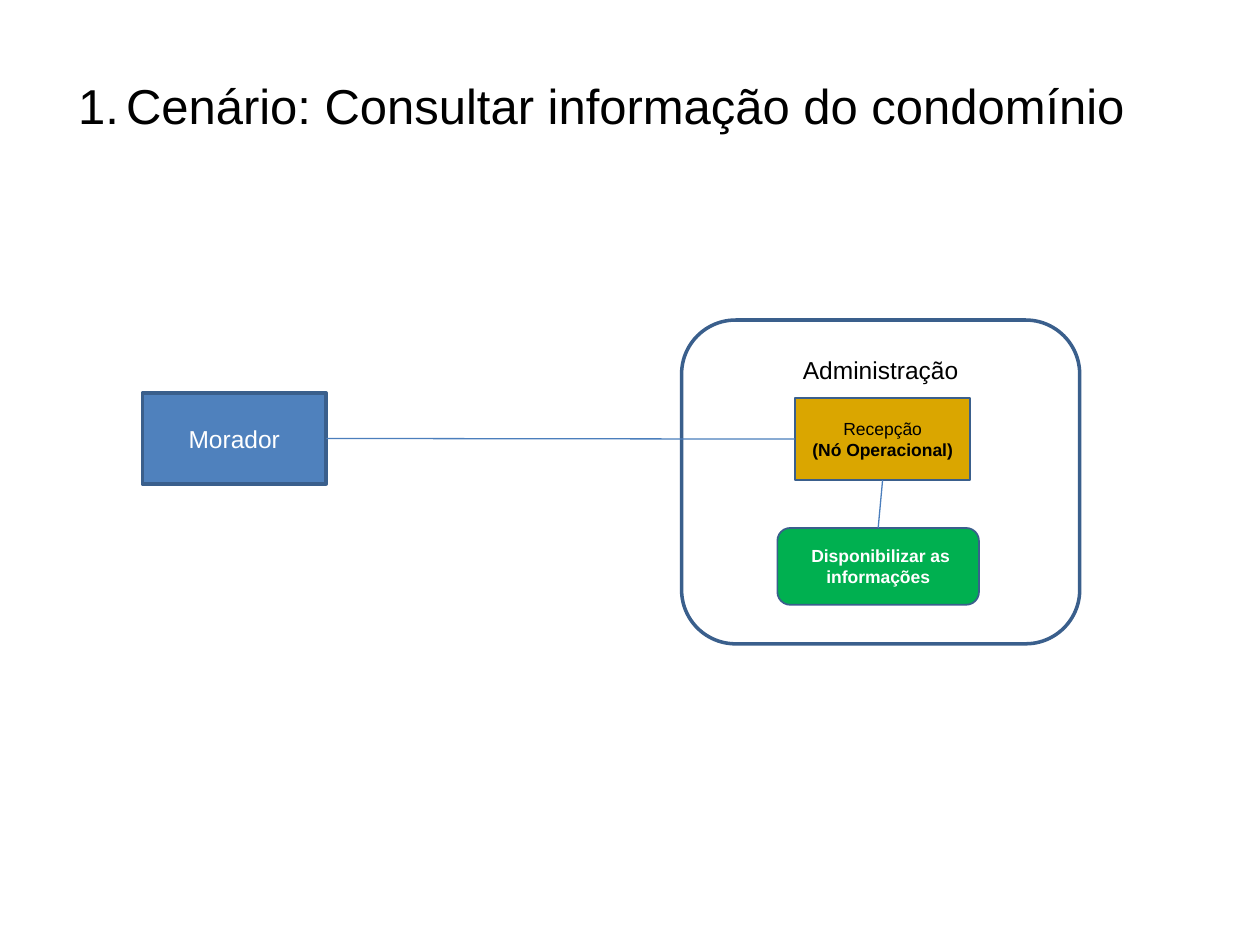
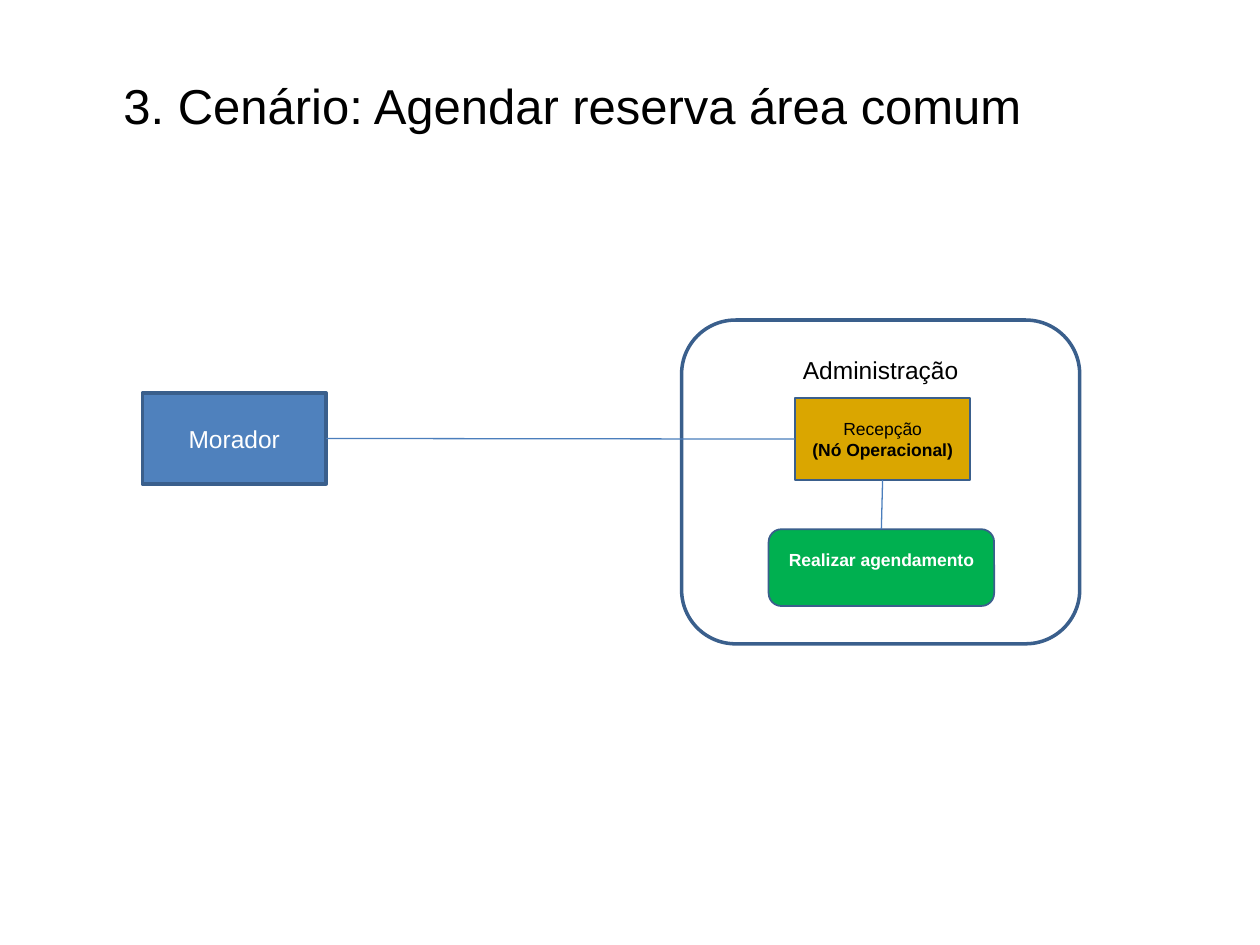
from dataclasses import dataclass

from lxml import etree
from pptx import Presentation
from pptx.dml.color import RGBColor
from pptx.enum.shapes import MSO_CONNECTOR, MSO_SHAPE
from pptx.enum.text import MSO_ANCHOR, MSO_AUTO_SIZE, PP_ALIGN
from pptx.oxml.ns import qn
from pptx.util import Inches, Pt


@dataclass(frozen=True)
class Theme:
    font: str = "Arial"
    dark: str = "000000"
    light: str = "FFFFFF"
    actor: str = "4F81BD"
    node: str = "DAA600"
    action: str = "00B050"
    border: str = "3A5F8C"
    link: str = "4B7EBC"
    title_size: int = 28
    label_size: int = 14
    detail_size: int = 10
    thick: float = 2
    thin: float = 1
    link_width: float = 0.75


THEME = Theme()

# Connection sites of a rectangle
TOP, LEFT, BOTTOM, RIGHT = range(4)


def rgb(value):
    return RGBColor.from_string(value)


def place(shape, box):
    shape.left, shape.top, shape.width, shape.height = map(Inches, box)


def write(paragraph, text, size, color, bold=False, align=PP_ALIGN.CENTER):
    paragraph.alignment = align
    run = paragraph.add_run()
    run.text = text
    font = run.font
    font.name, font.size, font.bold = THEME.font, Pt(size), bold
    font.color.rgb = rgb(color)


def number_paragraph(paragraph, indent):
    """Give the paragraph an automatic number with a hanging indent."""
    props = paragraph._p.get_or_add_pPr()
    props.set("marL", str(Inches(indent)))
    props.set("indent", str(-Inches(indent)))
    etree.SubElement(props, qn("a:buFont"), typeface="+mj-lt")
    etree.SubElement(props, qn("a:buAutoNum"), type="arabicPeriod")


def add_title(slide, text, box, numbered=False):
    title = slide.shapes.title
    place(title, box)
    frame = title.text_frame
    frame.word_wrap = False
    frame.auto_size = MSO_AUTO_SIZE.NONE
    frame.vertical_anchor = MSO_ANCHOR.TOP
    paragraph = frame.paragraphs[0]
    write(paragraph, text, THEME.title_size, THEME.dark, align=PP_ALIGN.LEFT)
    if numbered:
        number_paragraph(paragraph, 0.38)


def add_box(slide, kind, box, fill, line_width, lines, size, color):
    """Add an outlined box; lines holds (text, bold) pairs."""
    shape = slide.shapes.add_shape(kind, *map(Inches, box))
    shape.shadow.inherit = False
    if fill:
        shape.fill.solid()
        shape.fill.fore_color.rgb = rgb(fill)
    else:
        shape.fill.background()
    shape.line.color.rgb = rgb(THEME.border)
    shape.line.width = Pt(line_width)
    frame = shape.text_frame
    frame.word_wrap = True
    frame.vertical_anchor = MSO_ANCHOR.MIDDLE
    for index, (text, bold) in enumerate(lines):
        paragraph = frame.add_paragraph() if index else frame.paragraphs[0]
        write(paragraph, text, size, color, bold)
    return shape


def connect(slide, start, start_site, end, end_site):
    line = slide.shapes.add_connector(MSO_CONNECTOR.STRAIGHT, 0, 0, 0, 0)
    line.begin_connect(start, start_site)
    line.end_connect(end, end_site)
    line.line.color.rgb = rgb(THEME.link)
    line.line.width = Pt(THEME.link_width)
    etree.SubElement(line._element.spPr, qn("a:effectLst"))


def add_scenario(slide, action_text, action_box, space_below=0.05):
    """Draw resident, administration, reception and the given action."""
    resident = add_box(slide, MSO_SHAPE.RECTANGLE, (1.13, 3.12, 1.46, 0.72),
                       THEME.actor, THEME.thick, [("Morador", False)],
                       THEME.label_size, THEME.light)

    # Administration frame, labelled at its top
    office = add_box(slide, MSO_SHAPE.ROUNDED_RECTANGLE,
                     (5.41, 2.54, 3.16, 2.57), None, THEME.thick,
                     [("Administração", False)],
                     THEME.label_size, THEME.dark)
    office.text_frame.vertical_anchor = MSO_ANCHOR.TOP
    office.text_frame.margin_top = Inches(0.15)

    reception = add_box(slide, MSO_SHAPE.RECTANGLE, (6.31, 3.16, 1.39, 0.65),
                        THEME.node, THEME.thin,
                        [("Recepção", False), ("(Nó Operacional)", True)],
                        THEME.detail_size, THEME.dark)
    action = add_box(slide, MSO_SHAPE.ROUNDED_RECTANGLE, action_box,
                     THEME.action, THEME.thin, [(action_text, True)],
                     THEME.detail_size, THEME.light)
    action.text_frame.margin_bottom = Inches(space_below)

    connect(slide, resident, RIGHT, reception, LEFT)
    connect(slide, reception, BOTTOM, action, TOP)


def main():
    prs = Presentation()
    prs.slide_width, prs.slide_height = Inches(10), Inches(7.5)
    title_only = prs.slide_layouts[5]

    # Consulting information
    slide = prs.slides.add_slide(title_only)
    add_title(slide, "Cenário: Consultar informação do condomínio",
              (0.52, 0.55, 8.59, 0.57), numbered=True)
    add_scenario(slide, " Disponibilizar as informações",
                 (6.17, 4.19, 1.6, 0.61))

    # Booking a common area
    slide = prs.slides.add_slide(title_only)
    add_title(slide, "3. Cenário: Agendar reserva área comum",
              (0.88, 0.55, 7.44, 1.04))
    add_scenario(slide, "Realizar agendamento",
                 (6.1, 4.2, 1.79, 0.61), space_below=0.18)

    prs.save("out.pptx")


main()
